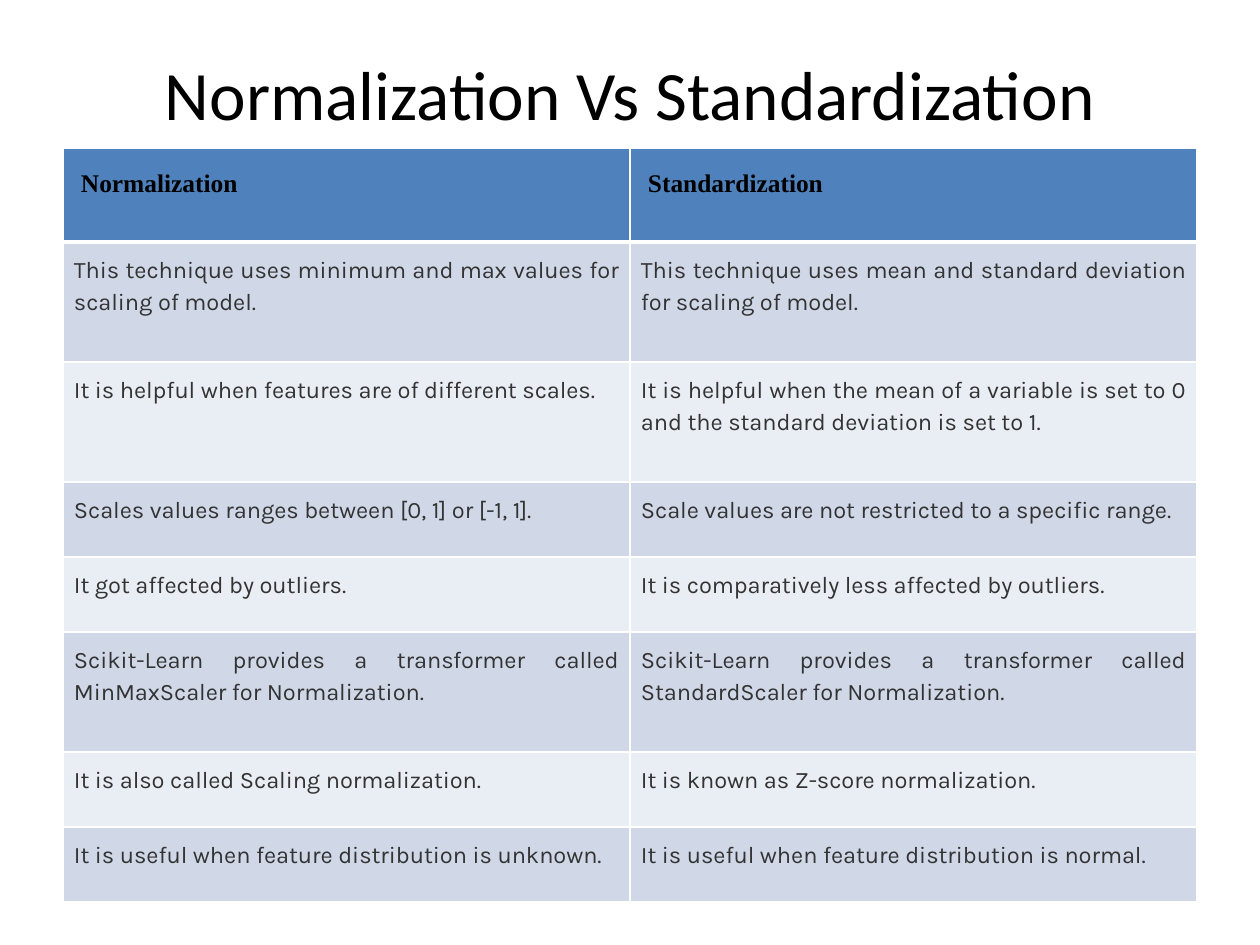
import dataclasses

import lxml.etree
import pptx
import pptx.dml.color
import pptx.enum.text
import pptx.oxml.ns
import pptx.util

SCALE = 914400 / 126


@dataclasses.dataclass(frozen=True)
class Theme:
    ink: str = "000000"
    body_ink: str = "333333"
    header_fill: str = "4F81BD"
    band_fills: tuple = ("D0D8E8", "E9EDF4")
    border: str = "FFFFFF"
    title_font: str = "Calibri"
    header_font: str = "Times New Roman"
    body_font: str = "Karla"
    title_size: float = 39.6
    header_size: float = 14.5
    body_size: float = 13.5
    line_spacing: float = 1.15
    thin: int = 1
    thick: int = 3


THEME = Theme()
ALIGN = pptx.enum.text.PP_ALIGN
ANCHOR = pptx.enum.text.MSO_ANCHOR

ROWS = [
    (94, "Normalization", "Standardization"),
    (120, "This technique uses minimum and max values for scaling of model.",
     "This technique uses mean and standard deviation for scaling of model."),
    (120, "It is helpful when features are of different scales.",
     "It is helpful when the mean of a variable is set to 0 and the standard deviation is set to 1."),
    (75, "Scales values ranges between [0, 1] or [-1, 1].",
     "Scale values are not restricted to a specific range."),
    (75, "It got affected by outliers.",
     "It is comparatively less affected by outliers."),
    (120, "Scikit-Learn provides a transformer called MinMaxScaler for Normalization.",
     "Scikit-Learn provides a transformer called StandardScaler for Normalization."),
    (75, "It is also called Scaling normalization.",
     "It is known as Z-score normalization."),
    (75, "It is useful when feature distribution is unknown.",
     "It is useful when feature distribution is normal."),
]


def px(length):
    return pptx.util.Emu(round(length * SCALE))


def rgb(value):
    return pptx.dml.color.RGBColor.from_string(value)


def write_text(frame, text, *, font, size, color, bold=False,
               align=ALIGN.LEFT, spacing=1.0):
    frame.word_wrap = True
    para = frame.paragraphs[0]
    para.alignment = align
    para.line_spacing = spacing
    span = para.add_run()
    span.text = text
    span.font.name = font
    span.font.size = pptx.util.Pt(size)
    span.font.color.rgb = rgb(color)
    span.font.bold = bold


def set_borders(cell, **widths):
    properties = cell._tc.get_or_add_tcPr()
    for side in ("L", "R", "T", "B"):
        width = pptx.util.Pt(widths.get(side, THEME.thin))
        line = lxml.etree.SubElement(
            properties, pptx.oxml.ns.qn(f"a:ln{side}"), w=str(width))
        fill = lxml.etree.SubElement(line, pptx.oxml.ns.qn("a:solidFill"))
        lxml.etree.SubElement(fill, pptx.oxml.ns.qn("a:srgbClr"), val=THEME.border)


def style_cell(cell, fill, inset):
    cell.margin_left = cell.margin_right = px(inset)
    cell.margin_top = cell.margin_bottom = px(inset)
    cell.vertical_anchor = ANCHOR.TOP
    cell.fill.solid()
    cell.fill.fore_color.rgb = rgb(fill)


def add_title(page, left, top, width, height):
    box = page.shapes.add_textbox(px(left), px(top), px(width), px(height))
    box.text_frame.vertical_anchor = ANCHOR.MIDDLE
    write_text(box.text_frame, "Normalization Vs Standardization",
               font=THEME.title_font, size=THEME.title_size,
               color=THEME.ink, align=ALIGN.CENTER)


def add_comparison(page, left, top, width):
    height = sum(row[0] for row in ROWS)
    table = page.shapes.add_table(
        len(ROWS), 2, px(left), px(top), px(width), px(height)).table
    for column in table.columns:
        column.width = px(width / 2)
    for row_index, (row_height, *texts) in enumerate(ROWS):
        table.rows[row_index].height = px(row_height)
        for column_index, text in enumerate(texts):
            cell = table.cell(row_index, column_index)
            if row_index == 0:
                set_borders(cell, B=THEME.thick)
                style_cell(cell, THEME.header_fill, 18)
                write_text(cell.text_frame, text, font=THEME.header_font,
                           size=THEME.header_size, color=THEME.ink,
                           bold=True, spacing=THEME.line_spacing)
            else:
                set_borders(cell, T=THEME.thick if row_index == 1 else THEME.thin)
                style_cell(cell, THEME.band_fills[(row_index - 1) % 2], 11)
                write_text(cell.text_frame, text, font=THEME.body_font,
                           size=THEME.body_size, color=THEME.body_ink,
                           align=ALIGN.JUSTIFY, spacing=THEME.line_spacing)


def main():
    deck = pptx.Presentation()
    deck.slide_width, deck.slide_height = px(1260), px(945)
    page = deck.slides.add_slide(deck.slide_layouts[6])
    add_comparison(page, 63, 148, 1134)
    add_title(page, 63, 38, 1134, 110)
    deck.save("out.pptx")


if __name__ == "__main__":
    main()
